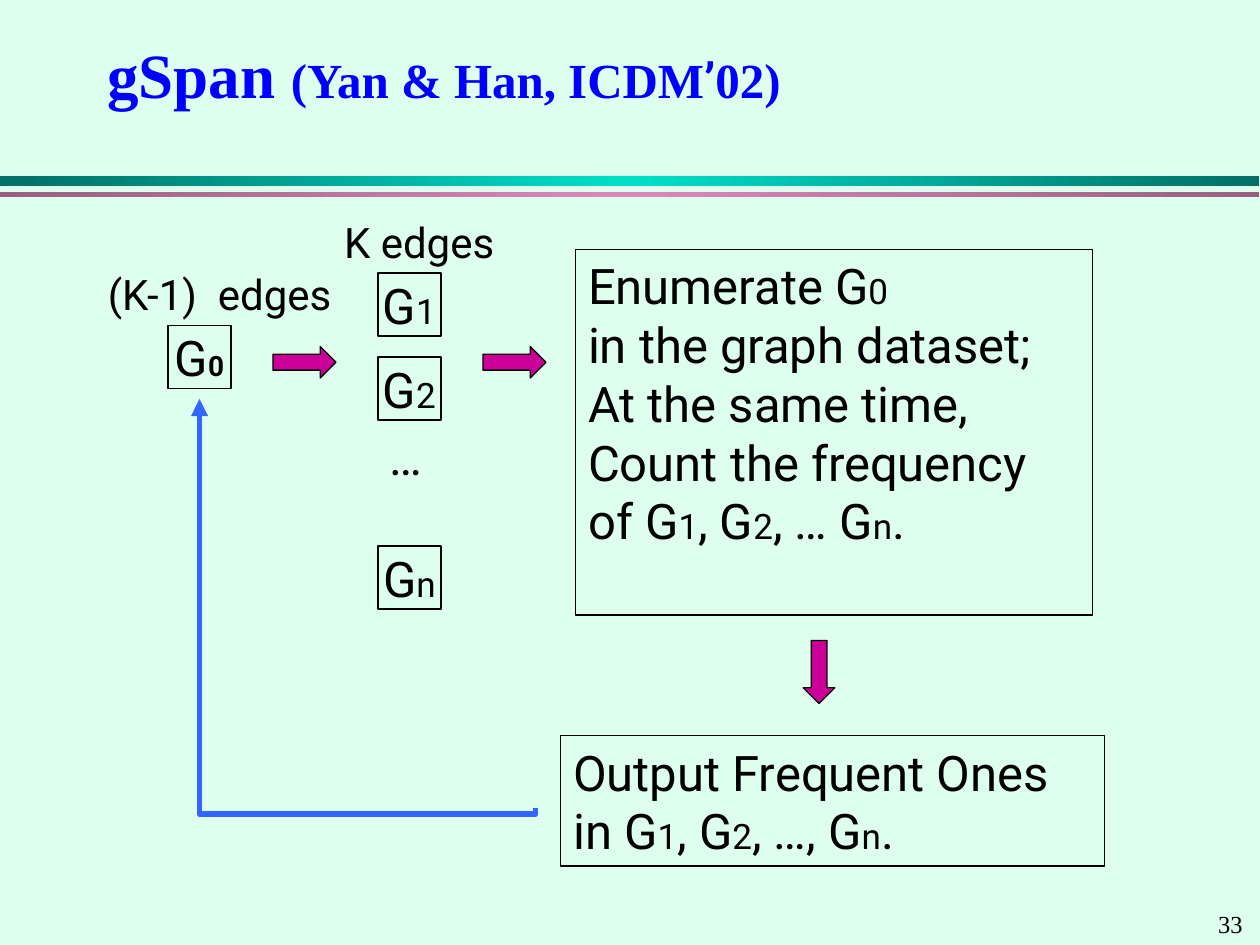
import copy

import pptx
import pptx.dml.color
import pptx.enum.shapes
import pptx.enum.text
import pptx.oxml.ns
import pptx.util
from lxml import etree

Pt = pptx.util.Pt
qn = pptx.oxml.ns.qn
RGB = pptx.dml.color.RGBColor.from_string
SHAPE = pptx.enum.shapes.MSO_SHAPE
ALIGN = pptx.enum.text.PP_ALIGN
ANCHOR = pptx.enum.text.MSO_ANCHOR

THEME = {
    "background": "DEFEEE", "ink": "000000", "title": "0000FF",
    "arrow": "CC0099", "loop": "3366FF",
    "teal": ("006F65", "00DFCA", "006F65"),
    "pink": ("976080", "D989B8", "976080"),
    "sans": "Roboto", "serif": "Times New Roman",
    "heading": 36, "text": 28, "label": 24, "sub": 20, "seed_sub": 16, "number": 14,
}
TEXT, SUB = THEME["text"], THEME["sub"]


def write(box, lines, font=THEME["sans"], color=THEME["ink"], align=ALIGN.LEFT,
          anchor=ANCHOR.TOP, wrap=True):
    """Write lines of (text, size[, bold[, font]]) spans into a shape."""
    frame = box.text_frame
    frame.word_wrap = wrap
    frame.auto_size = pptx.enum.text.MSO_AUTO_SIZE.NONE
    frame.vertical_anchor = anchor
    for index, line in enumerate(lines):
        para = frame.add_paragraph() if index else frame.paragraphs[0]
        para.alignment = align
        for text, size, *style in line:
            span = para.add_run()
            span.text = text
            span.font.size = Pt(size)
            span.font.bold = bool(style and style[0])
            span.font.name = style[1] if len(style) > 1 else font
            span.font.color.rgb = RGB(color)


def add_block(kind, left, top, width, height, fill=None):
    """Add a thinly outlined shape, hollow unless a fill is given."""
    block = page.shapes.add_shape(kind, Pt(left), Pt(top), Pt(width), Pt(height))
    block.shadow.inherit = False
    block.line.color.rgb = RGB(THEME["ink"])
    block.line.width = Pt(0.75)
    if fill:
        block.fill.solid()
        block.fill.fore_color.rgb = RGB(fill)
    else:
        block.fill.background()
    return block


deck = pptx.Presentation()
deck.slide_width, deck.slide_height = Pt(720), Pt(540)
page = deck.slides.add_slide(deck.slide_layouts[5])
page.background.fill.solid()
page.background.fill.fore_color.rgb = RGB(THEME["background"])

# Divider bars under the title
for top, height, colors in ((100.8, 5.5, THEME["teal"]), (109.6, 3, THEME["pink"])):
    bar = add_block(SHAPE.RECTANGLE, 0, top, 719.5, height)
    bar.line.fill.background()
    bar.fill.gradient()
    bar.fill.gradient_angle = 0
    stop_list = bar._element.spPr.find(".//" + qn("a:gsLst"))
    stop_list.append(copy.deepcopy(stop_list[0]))
    for stop, color, position in zip(bar.fill.gradient_stops, colors, (0, 0.5, 1)):
        stop.color.rgb = RGB(color)
        stop.position = position

title = page.shapes.title
title.left, title.top, title.width, title.height = Pt(54), Pt(18), Pt(613.5), Pt(48)
write(title, [[("gSpan ", THEME["heading"], True), ("(Yan & Han, ICDM", TEXT, True),
               ("’", TEXT, True, THEME["sans"]), ("02)", TEXT, True)]],
      font=THEME["serif"], color=THEME["title"], anchor=ANCHOR.MIDDLE)

# Labels and slide number
for text, size, font, left, top, width, height in (
    ("(K-1)  edges", THEME["label"], THEME["sans"], 54.5, 150, 145.5, 36),
    ("K edges", THEME["label"], THEME["sans"], 189.5, 120, 103.5, 36),
    ("…", TEXT, THEME["sans"], 215.5, 240, 36, 41),
    ("33", THEME["number"], THEME["serif"], 689, 516, 31, 24.5),
):
    label = page.shapes.add_textbox(Pt(left), Pt(top), Pt(width), Pt(height))
    write(label, [[(text, size)]], font=font)

# Graph nodes: the seed and its one-edge extensions
for name, size, bold, left, top in (
    ("0", THEME["seed_sub"], True, 96, 186),
    ("1", SUB, False, 216, 156),
    ("2", SUB, False, 216, 204),
    ("n", SUB, False, 216, 312),
):
    node = add_block(SHAPE.RECTANGLE, left, top, 36, 36)
    write(node, [[("G", TEXT), (name, size, bold)]],
          align=ALIGN.CENTER, anchor=ANCHOR.MIDDLE, wrap=False)

# Steps
counting = add_block(SHAPE.RECTANGLE, 329, 142.5, 295.5, 209)
write(counting, [
    [("Enumerate G", TEXT), ("0", SUB)],
    [("in the graph dataset;", TEXT)],
    [("At the same time,", TEXT)],
    [("Count the frequency", TEXT)],
    [("of G", TEXT), ("1", SUB), (", G", TEXT), ("2", SUB),
     (", … G", TEXT), ("n", SUB), (".", TEXT)],
])
output = add_block(SHAPE.RECTANGLE, 320.5, 420.5, 310.5, 74.5)
write(output, [
    [("Output Frequent Ones", TEXT)],
    [("in G", TEXT), ("1", SUB), (", G", TEXT), ("2", SUB),
     (", …, G", TEXT), ("n", SUB), (".", TEXT)],
])

for left, top, turn in ((156, 198, 0), (276, 198, 0), (450, 375, 90)):
    arrow = add_block(SHAPE.RIGHT_ARROW, left, top, 36, 18, THEME["arrow"])
    arrow.rotation = turn

# Loop back to the seed: an elbow turned a quarter to the left
loop = page.shapes.add_connector(
    pptx.enum.shapes.MSO_CONNECTOR.ELBOW, Pt(93), Pt(441), Pt(327), Pt(249))
loop.line.color.rgb = RGB(THEME["loop"])
loop.line.width = Pt(3.25)
loop_props = loop._element.spPr
loop_props.find(qn("a:xfrm")).set("rot", str(270 * 60000))
guides = loop_props.find(qn("a:prstGeom")).get_or_add_avLst()
etree.SubElement(guides, qn("a:gd"), name="adj1", fmla="val -1400")
etree.SubElement(loop_props.find(qn("a:ln")), qn("a:tailEnd"), type="triangle")
etree.SubElement(loop_props, qn("a:effectLst"))

deck.save("out.pptx")
